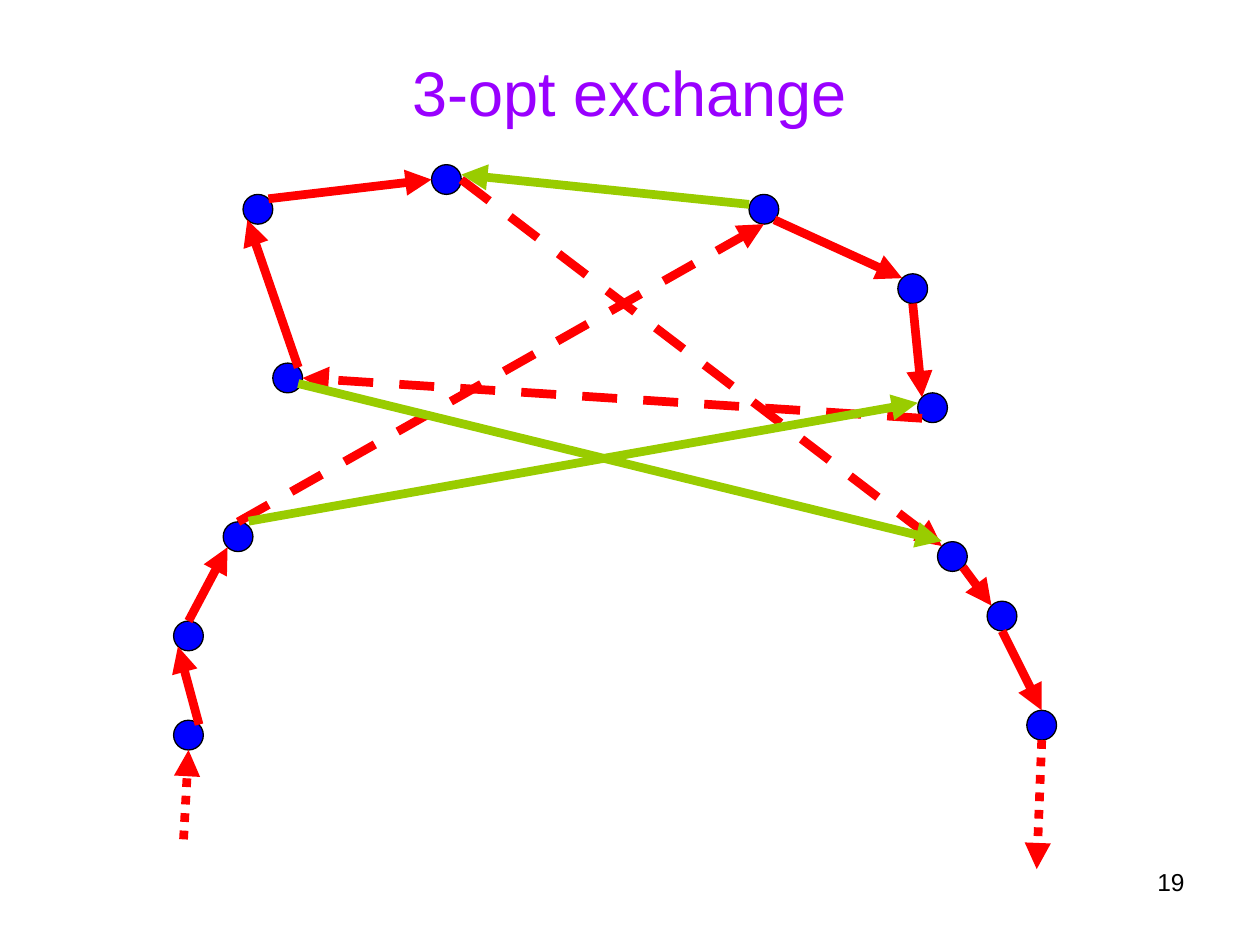
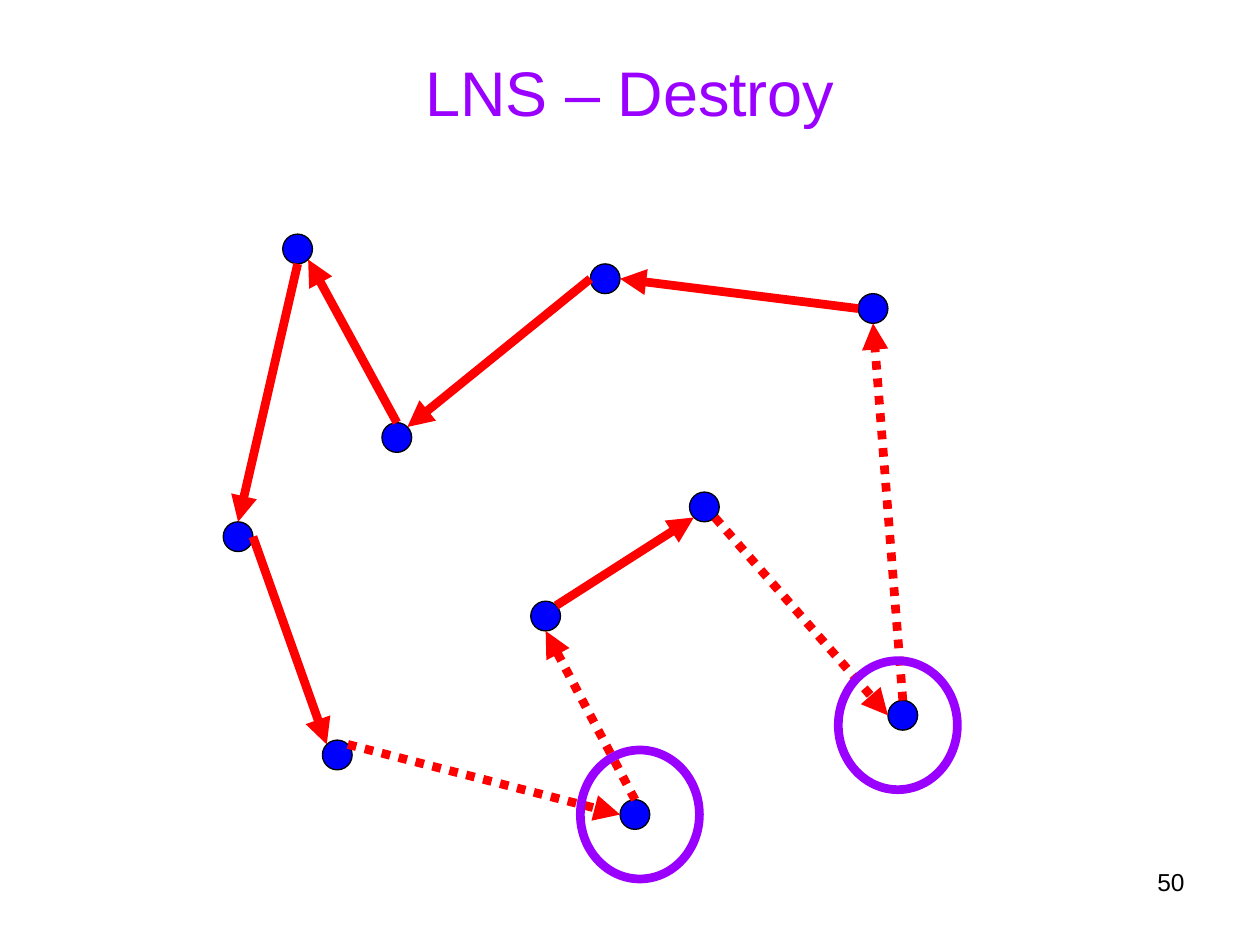
from math import sqrt

from lxml.etree import SubElement
from pptx import Presentation
from pptx.dml.color import RGBColor
from pptx.enum.dml import MSO_LINE as Dash
from pptx.enum.shapes import MSO_CONNECTOR as Connector, MSO_SHAPE as Shape
from pptx.enum.text import MSO_ANCHOR as Anchor, PP_ALIGN as Align
from pptx.oxml.ns import qn
from pptx.util import Cm, Pt

FONT = "Arial"
PURPLE, BLUE, RED, GREEN, BLACK = "9900FF", "0000FF", "FF0000", "99CC00", "000000"
SOLID, DASHED, DOTTED = None, Dash.DASH, Dash.ROUND_DOT
NODE_SIZE = 0.6
RING_SIZE = (2.4, 2.6)
THICK = 5

# Content, in centimetres: nodes are centres; an arrow end is either
# (node, compass side) or a free point (x, y).
SLIDES = [
    {
        "title": "3-opt exchange",
        "number": "19",
        "nodes": {
            "in 1": (3.8, 14.82), "in 2": (3.8, 12.82), "in 3": (4.8, 10.82),
            "left 1": (5.8, 7.62), "left 2": (5.2, 4.22), "left 3": (9, 3.62),
            "right 1": (15.4, 4.22), "right 2": (18.4, 5.82), "right 3": (18.8, 8.22),
            "out 1": (19.2, 11.22), "out 2": (20.2, 12.42), "out 3": (21, 14.62),
        },
        "arrows": [
            (("in 1", "NE"), ("in 2", "SW"), RED, SOLID),
            (("in 2", "N"), ("in 3", "SW"), RED, SOLID),
            (("in 3", "N"), ("right 1", "S"), RED, DASHED),
            (("out 1", "SE"), ("out 2", "NW"), RED, SOLID),
            (("out 2", "S"), ("out 3", "N"), RED, SOLID),
            (("out 3", "S"), (20.9, 17.52), RED, DOTTED),
            ((3.7, 16.92), ("in 1", "S"), RED, DOTTED),
            (("left 3", "E"), ("out 1", "NW"), RED, DASHED),
            (("left 2", "NE"), ("left 3", "W"), RED, SOLID),
            (("left 1", "NE"), ("left 2", "SW"), RED, SOLID),
            (("right 1", "SE"), ("right 2", "NW"), RED, SOLID),
            (("right 2", "S"), ("right 3", "NW"), RED, SOLID),
            (("right 3", "SW"), ("left 1", "E"), RED, DASHED),
            (("in 3", "NE"), ("right 3", "W"), GREEN, SOLID),
            (("right 1", "W"), ("left 3", "E"), GREEN, SOLID),
            (("left 1", "SE"), ("out 1", "NW"), GREEN, SOLID),
        ],
        "rings": [],
    },
    {
        "title": "LNS – Destroy",
        "number": "50",
        "nodes": {
            "bottom left": (6.8, 15.22), "left": (4.8, 10.82), "top left": (6, 5.02),
            "notch": (8, 8.82), "top": (12.2, 5.62), "top right": (17.6, 6.22),
            "removed right": (18.2, 14.42), "inner right": (14.2, 10.22),
            "inner left": (11, 12.42), "removed bottom": (12.8, 16.42),
        },
        "arrows": [
            (("inner right", "SE"), ("removed right", "W"), RED, DOTTED),
            (("notch", "N"), ("top left", "SE"), RED, SOLID),
            (("inner left", "NE"), ("inner right", "SW"), RED, SOLID),
            (("top", "W"), ("notch", "NE"), RED, SOLID),
            (("left", "E"), ("bottom left", "NW"), RED, SOLID),
            (("top left", "S"), ("left", "N"), RED, SOLID),
            (("top right", "W"), ("top", "E"), RED, SOLID),
            (("removed right", "N"), ("top right", "S"), RED, DOTTED),
            (("bottom left", "NE"), ("removed bottom", "W"), RED, DOTTED),
            (("removed bottom", "N"), ("inner left", "S"), RED, DOTTED),
        ],
        "rings": [(12.9, 16.42), (18.1, 14.62)],
    },
]

# New arrows of an exchange run slightly above the nodes' sides
LIFT = {RED: 0, GREEN: 0.1}


def color(hex_string):
    return RGBColor.from_string(hex_string)


def add_text(slide, text, box, size, ink, align, anchor):
    shape = slide.shapes.add_textbox(*map(Cm, box))
    frame = shape.text_frame
    frame.word_wrap = True
    frame.vertical_anchor = anchor
    paragraph = frame.paragraphs[0]
    paragraph.alignment = align
    run = paragraph.add_run()
    run.text = text
    run.font.name, run.font.size = FONT, Pt(size)
    run.font.color.rgb = color(ink)


def add_ellipse(slide, center, size, line, width, fill=None):
    x, y = center
    w, h = size
    shape = slide.shapes.add_shape(
        Shape.OVAL, Cm(x - w / 2), Cm(y - h / 2), Cm(w), Cm(h))
    shape.shadow.inherit = False
    if fill:
        shape.fill.solid()
        shape.fill.fore_color.rgb = color(fill)
    else:
        shape.fill.background()
    shape.line.color.rgb = color(line)
    shape.line.width = Pt(width)


def arrow_end(nodes, end, lift):
    """Point on the node's rim at the given compass side, or the free point."""
    if end[0] not in nodes:
        return end
    x, y = nodes[end[0]]
    side = end[1]
    reach = NODE_SIZE / 2 / sqrt(len(side))
    return (x + reach * (("E" in side) - ("W" in side)),
            y + reach * (("S" in side) - ("N" in side)) - lift)


def add_arrow(slide, start, end, ink, dash):
    arrow = slide.shapes.add_connector(
        Connector.STRAIGHT, *map(Cm, (*start, *end)))
    arrow.line.color.rgb = color(ink)
    arrow.line.width = Pt(THICK)
    if dash is not None:
        arrow.line.dash_style = dash
    properties = arrow._element.spPr
    SubElement(properties.find(qn("a:ln")), qn("a:tailEnd"), type="triangle")
    SubElement(properties, qn("a:effectLst"))


def build_slide(presentation, content):
    slide = presentation.slides.add_slide(presentation.slide_layouts[6])
    add_text(slide, content["title"], (1.27, 0.76, 22.86, 2.16),
             36, PURPLE, Align.CENTER, Anchor.MIDDLE)

    # Tour: nodes, arrows between them, rings around removed nodes
    nodes = content["nodes"]
    for center in nodes.values():
        add_ellipse(slide, center, (NODE_SIZE, NODE_SIZE), BLACK, 0.75, BLUE)
    for start, end, ink, dash in content["arrows"]:
        add_arrow(slide, arrow_end(nodes, start, LIFT[ink]),
                  arrow_end(nodes, end, LIFT[ink]), ink, dash)
    for center in content["rings"]:
        add_ellipse(slide, center, RING_SIZE, PURPLE, THICK)

    # Slide number
    add_text(slide, content["number"], (18.21, 17.35, 5.92, 1.32),
             14, BLACK, Align.RIGHT, Anchor.TOP)


def main():
    presentation = Presentation()
    presentation.slide_width, presentation.slide_height = Cm(25.4), Cm(19.05)
    for content in SLIDES:
        build_slide(presentation, content)
    presentation.save("out.pptx")


if __name__ == "__main__":
    main()
